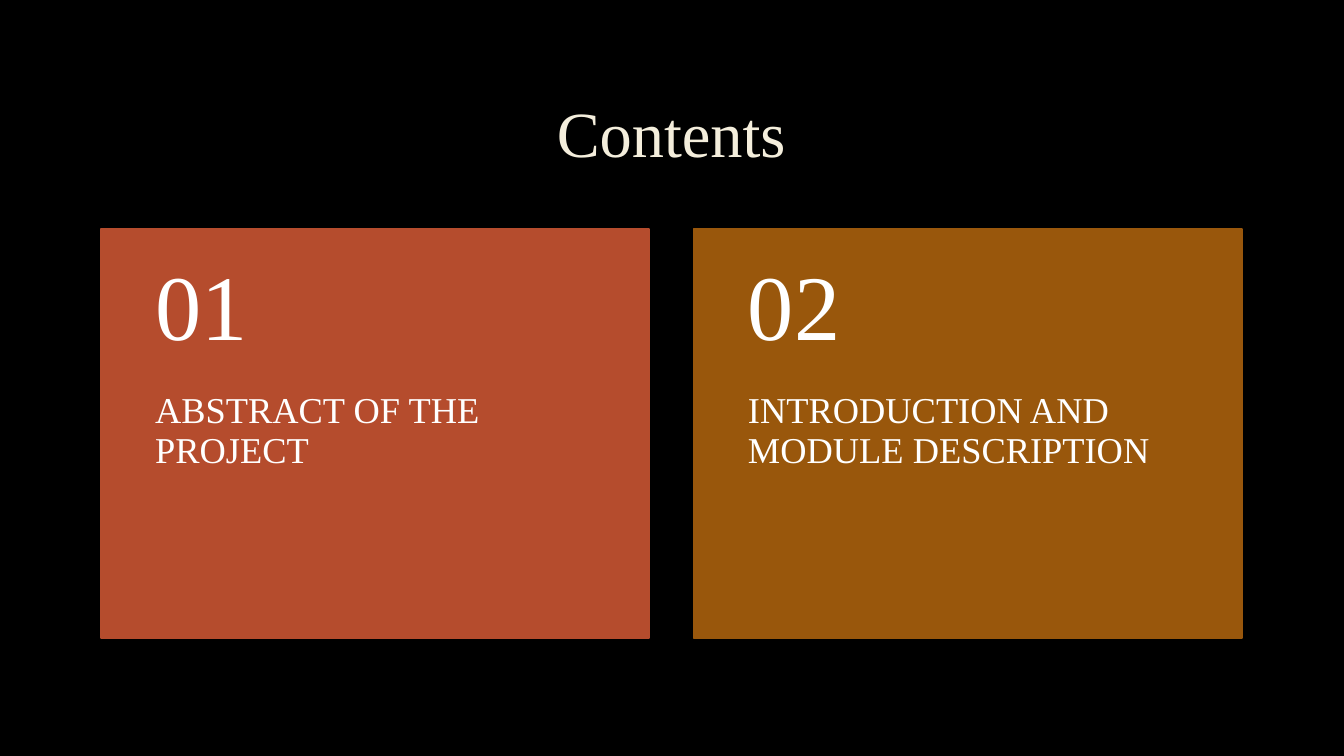
from dataclasses import dataclass

from pptx import Presentation
from pptx.dml.color import RGBColor
from pptx.enum.shapes import MSO_SHAPE
from pptx.enum.text import MSO_ANCHOR, PP_ALIGN
from pptx.slide import Slide
from pptx.util import Cm, Pt

RECTANGLE = MSO_SHAPE.RECTANGLE
TOP, MIDDLE = MSO_ANCHOR.TOP, MSO_ANCHOR.MIDDLE
LEFT, CENTER = PP_ALIGN.LEFT, PP_ALIGN.CENTER

FONT = "Times New Roman"
BLACK, CREAM, WHITE = "000000", "F4EEDC", "FFFFFF"

# Layout in centimetres
MARGIN = 2.54
CARD_TOP, CARD_WIDTH, CARD_HEIGHT = 5.77, 13.82, 10.31
CARD_PITCH = 14.94
NUMBER_HEIGHT = 4.12


@dataclass(frozen=True)
class Box:
    left: float
    top: float
    width: float
    height: float

    def lengths(self) -> tuple[Cm, Cm, Cm, Cm]:
        return Cm(self.left), Cm(self.top), Cm(self.width), Cm(self.height)


@dataclass(frozen=True)
class TextStyle:
    size: float
    color: str
    anchor: MSO_ANCHOR
    align: PP_ALIGN
    insets: tuple[float, float, float, float]  # left, top, right, bottom


@dataclass(frozen=True)
class Card:
    number: str
    topic: str
    color: str


TITLE_STYLE = TextStyle(46, CREAM, MIDDLE, CENTER, (0.25, 0.13, 0.25, 0.13))
NUMBER_STYLE = TextStyle(66, WHITE, MIDDLE, LEFT, (1.37, 0.46, 1.37, 0.46))
TOPIC_STYLE = TextStyle(26, WHITE, TOP, LEFT, (1.37, 0, 1.37, 0.91))

CARDS = [
    Card("01", "ABSTRACT OF THE PROJECT", "B54C2D"),
    Card("02", "INTRODUCTION AND MODULE DESCRIPTION", "99570C"),
]


def rgb(color: str) -> RGBColor:
    return RGBColor.from_string(color)


def add_text(slide: Slide, box: Box, text: str, style: TextStyle) -> None:
    frame = slide.shapes.add_textbox(*box.lengths()).text_frame
    frame.word_wrap = True
    frame.vertical_anchor = style.anchor
    (frame.margin_left, frame.margin_top,
     frame.margin_right, frame.margin_bottom) = map(Cm, style.insets)
    paragraph = frame.paragraphs[0]
    paragraph.text = text
    paragraph.alignment = style.align
    paragraph.line_spacing = 0.9
    paragraph.font.name = FONT
    paragraph.font.size = Pt(style.size)
    paragraph.font.color.rgb = rgb(style.color)


def add_card(slide: Slide, left: float, card: Card) -> None:
    panel_box = Box(left, CARD_TOP, CARD_WIDTH, CARD_HEIGHT)
    number_box = Box(left, CARD_TOP, CARD_WIDTH, NUMBER_HEIGHT)
    topic_box = Box(left, CARD_TOP + NUMBER_HEIGHT,
                    CARD_WIDTH, CARD_HEIGHT - NUMBER_HEIGHT)

    panel = slide.shapes.add_shape(RECTANGLE, *panel_box.lengths())
    panel.shadow.inherit = False
    panel.fill.solid()
    panel.fill.fore_color.rgb = rgb(card.color)
    panel.line.color.rgb = rgb(card.color)
    panel.line.width = Pt(1.25)

    add_text(slide, topic_box, card.topic, TOPIC_STYLE)
    add_text(slide, number_box, card.number, NUMBER_STYLE)


def main() -> None:
    deck = Presentation()
    deck.slide_width, deck.slide_height = Cm(33.87), Cm(19.05)
    slide = deck.slides.add_slide(deck.slide_layouts[6])

    # Background
    slide.background.fill.solid()
    slide.background.fill.fore_color.rgb = rgb(BLACK)

    # Title
    add_text(slide, Box(MARGIN, 1.7, 28.75, 3.5), "Contents", TITLE_STYLE)

    # Numbered topics
    for index, card in enumerate(CARDS):
        add_card(slide, MARGIN + index * CARD_PITCH, card)

    deck.save("out.pptx")


if __name__ == "__main__":
    main()
